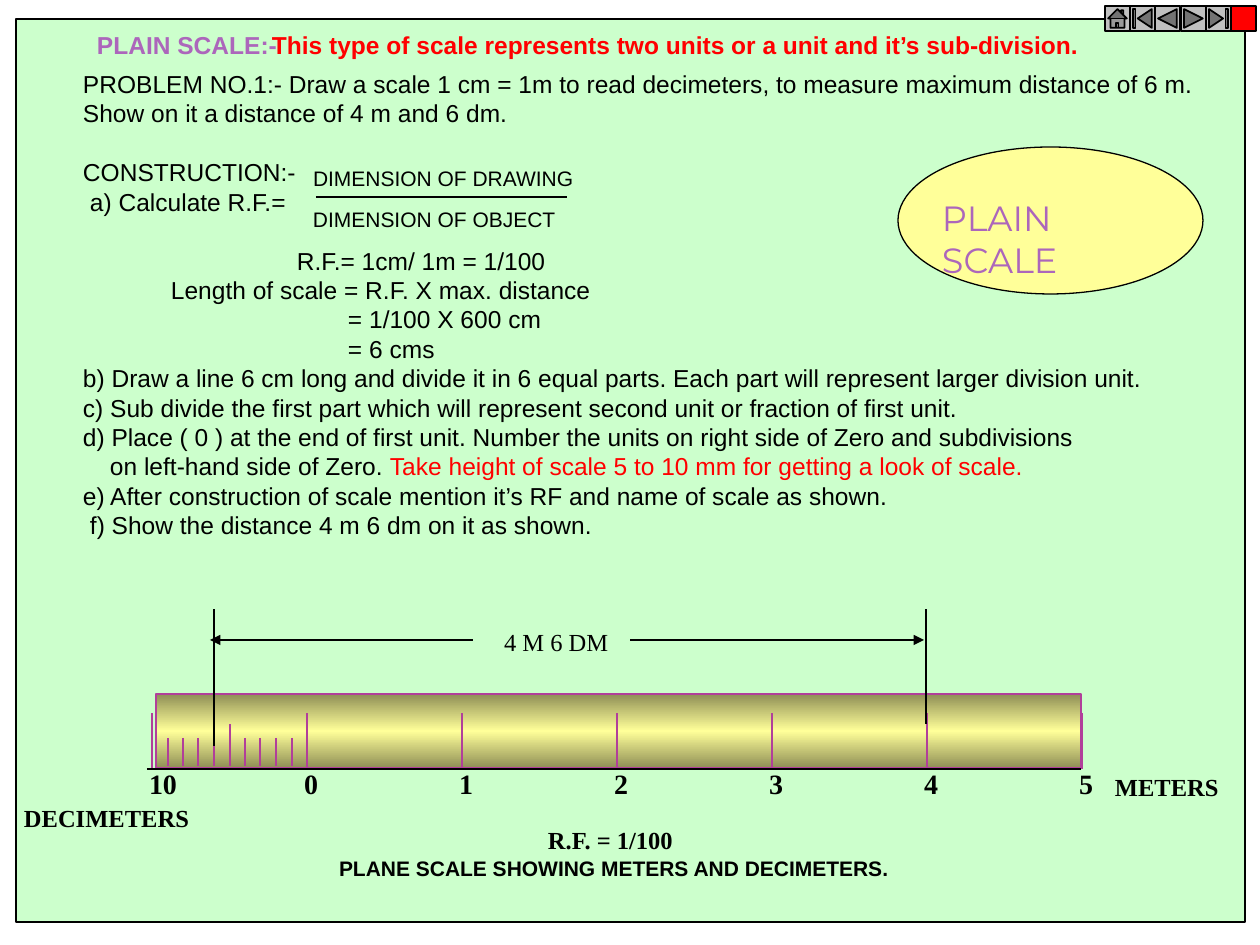
from copy import deepcopy

from lxml import etree
from pptx import Presentation
from pptx.dml.color import RGBColor
from pptx.enum.shapes import MSO_CONNECTOR, MSO_SHAPE
from pptx.enum.text import MSO_ANCHOR, MSO_AUTO_SIZE, PP_ALIGN
from pptx.oxml.ns import qn
from pptx.util import Pt

LINE = MSO_CONNECTOR.STRAIGHT
RECT, OVAL = MSO_SHAPE.RECTANGLE, MSO_SHAPE.OVAL
KEYS = [MSO_SHAPE.ACTION_BUTTON_HOME, MSO_SHAPE.ACTION_BUTTON_BEGINNING,
        MSO_SHAPE.ACTION_BUTTON_BACK_OR_PREVIOUS,
        MSO_SHAPE.ACTION_BUTTON_FORWARD_OR_NEXT,
        MSO_SHAPE.ACTION_BUTTON_END, MSO_SHAPE.ACTION_BUTTON_CUSTOM]
TOP, FIXED = MSO_ANCHOR.TOP, MSO_AUTO_SIZE.NONE
LEFT, MID = PP_ALIGN.LEFT, PP_ALIGN.CENTER

COL = {"black": "000000", "red": "FF0000", "violet": "AC66BB",
       "tick": "B13F9A", "mint": "CCFFCC", "cream": "FFFF99",
       "olive": "8F8F56", "grey": "C0C0C0"}
SANS, SERIF, ROUND = "Arial", "Times New Roman", "Montserrat"

# Indent in px, blank lines above, text runs with their colours
STEPS = [
    (0, 0, [("PROBLEM NO.1:- Draw a scale 1 cm = 1m to read decimeters, "
             "to measure maximum distance of 6 m.", "black")]),
    (0, 0, [("Show on it a distance of 4 m and 6 dm.", "black")]),
    (0, 1, [("CONSTRUCTION:-", "black")]),
    (7, 0, [("a) Calculate R.F.=", "black")]),
    (214, 1, [("R.F.= 1cm/ 1m = 1/100", "black")]),
    (88, 0, [("Length of scale = R.F. X max. distance", "black")]),
    (265, 0, [("= 1/100 X 600 cm", "black")]),
    (265, 0, [("= 6 cms", "black")]),
    (0, 0, [("b) Draw a line 6 cm long and divide it in 6 equal parts. "
             "Each part will represent larger division unit.", "black")]),
    (0, 0, [("c) Sub divide the first part which will represent second unit "
             "or fraction of first unit.", "black")]),
    (0, 0, [("d) Place ( 0 ) at the end of first unit. Number the units on "
             "right side of Zero and subdivisions", "black")]),
    (27, 0, [("on left-hand side of Zero. ", "black"),
             ("Take height of scale 5 to 10 mm for getting a look of scale.",
              "red")]),
    (0, 0, [("e) After construction of scale mention it’s RF and name of "
             "scale as shown.", "black")]),
    (7, 0, [("f) Show the distance 4 m 6 dm on it as shown.", "black")]),
]
PITCH = 16.8


def px(n):
    return round(n * 914400 / 126)


def rgb(name):
    return RGBColor.from_string(COL[name])


def put(item, **vals):
    for key, val in vals.items():
        setattr(item, key, val)


def place(shape, x, y, w, h):
    put(shape, left=px(x), top=px(y), width=px(w), height=px(h))


def frame(shape, wrap=False):
    text = shape.text_frame
    put(text, word_wrap=wrap, auto_size=FIXED, vertical_anchor=TOP,
        margin_left=px(13), margin_right=px(13),
        margin_top=px(6), margin_bottom=px(6))
    return text


def write(para, text, size, font=SANS, color="black", bold=False):
    run = para.add_run()
    run.text = text
    put(run.font, size=Pt(size), name=font, bold=bold)
    run.font.color.rgb = rgb(color)


def label(slide, box, text, size, align=LEFT, wrap=False, **look):
    shape = slide.shapes.add_textbox(*map(px, box))
    para = frame(shape, wrap).paragraphs[0]
    para.alignment = align
    write(para, text, size, **look)


def block(slide, kind, box, fill, edge="black", width=0.75):
    shape = slide.shapes.add_shape(kind, *map(px, box))
    shape.shadow.inherit = False
    if fill:
        shape.fill.solid()
        shape.fill.fore_color.rgb = rgb(fill)
    shape.line.color.rgb = rgb(edge)
    shape.line.width = Pt(width)
    return shape


def rule(slide, x1, y1, x2, y2, color="black", width=0.75, arrow=False):
    line = slide.shapes.add_connector(LINE, px(x1), px(y1), px(x2), px(y2))
    line.line.color.rgb = rgb(color)
    line.line.width = Pt(width)
    props = line.element.spPr
    if arrow:
        etree.SubElement(props.find(qn("a:ln")), qn("a:tailEnd"),
                         type="triangle")
    etree.SubElement(props, qn("a:effectLst"))


def heading(slide, x, y):
    title = slide.shapes.title
    place(title, x, y, 212, 43)
    para = frame(title).paragraphs[0]
    para.alignment = LEFT
    write(para, "PLAIN SCALE:-", 14, color="violet", bold=True)
    label(slide, (x + 175, y, 833, 43),
          "This type of scale represents two units or a unit and it’s "
          "sub-division.", 14, color="red", bold=True)


def steps(slide, x, y):
    body = slide.placeholders[1]
    place(body, x, y, 1150, 543)
    text = frame(body, True)
    for i, (indent, gap, runs) in enumerate(STEPS):
        para = text.add_paragraph() if i else text.paragraphs[0]
        put(para, alignment=LEFT, line_spacing=Pt(PITCH),
            space_before=Pt(gap * PITCH), space_after=Pt(0))
        props = para._p.get_or_add_pPr()
        props.set("marL", str(px(indent)))
        props.set("indent", "0")
        etree.SubElement(props, qn("a:buNone"))
        for words, color in runs:
            write(para, words, 14, color=color)
    # Fraction beside step a
    label(slide, (x + 230, y + 97, 286, 38), "DIMENSION OF DRAWING", 12)
    label(slide, (x + 230, y + 138, 267, 38), "DIMENSION OF OBJECT", 12)
    rule(slide, x + 246, y + 134, x + 497, y + 134, width=1.5)


def badge(slide, x, y):
    block(slide, OVAL, (x, y, 305, 147), "cream")
    label(slide, (x + 31, y + 43, 246, 97), "PLAIN SCALE", 20, wrap=True,
          font=ROUND, color="violet")


def ruler(slide, x, y):
    """Scale whose zero-width left end is x and whose bar starts at y."""
    unit, base = 155, y + 75
    bar = block(slide, RECT, (x + 4, y, 925, 74), None, "tick", 1.5)
    bar.fill.gradient()
    bar.fill.gradient_angle = 90
    first = next(bar.element.iter(qn("a:gs")))
    first.addnext(deepcopy(first))
    for stop, pos, name in zip(bar.fill.gradient_stops, (0, 0.5, 1),
                               ("olive", "cream", "olive")):
        stop.position = pos
        stop.color.rgb = rgb(name)
    # Metre and decimetre marks
    for i in range(7):
        spot = x + i * unit
        rule(slide, spot, y + 19, spot, base, "tick", 1.5)
        name = str(i - 1) if i else "10"
        mid = spot + (4 if i else 11)
        label(slide, (mid - 27, y + 67, 54, 47), name, 16, MID,
              font=SERIF, bold=True)
    for i in range(1, 10):
        spot = round(x + i * unit / 10)
        rule(slide, spot, y + (30 if i == 5 else 44), spot, y + 72,
             "tick", 1.5)
    rule(slide, x - 5, base, x + 929, base)
    # Measured distance
    rule(slide, x + 774, y + 30, x + 774, y - 85)
    rule(slide, x + 62, y + 52, x + 62, y - 85)
    rule(slide, x + 478, y - 54, x + 772, y - 54, arrow=True)
    rule(slide, x + 321, y - 54, x + 58, y - 54, arrow=True)
    label(slide, (x + 339, y - 73, 130, 43), "4 M 6 DM", 14, font=SERIF)
    # Captions
    for left, top, width, text in ((950, 72, 129, "METERS"),
                                   (-141, 103, 190, "DECIMETERS"),
                                   (383, 125, 152, "R.F. = 1/100")):
        label(slide, (x + left, y + top, width, 43), text, 14,
              font=SERIF, bold=True)
    label(slide, (x + 174, y + 156, 576, 38),
          "PLANE SCALE SHOWING METERS AND DECIMETERS.", 12, bold=True)


def keys(slide, x, y):
    for i, kind in enumerate(KEYS):
        fill = "red" if kind == KEYS[-1] else "grey"
        block(slide, kind, (x + round(i * 25.2), y, 25, 25), fill, width=1)


def main():
    deck = Presentation()
    put(deck, slide_width=px(1260), slide_height=px(945))
    slide = deck.slides.add_slide(deck.slide_layouts[1])
    # Panel goes behind the placeholders
    panel = block(slide, RECT, (16, 19, 1229, 903), "mint")
    slide.shapes.title.element.addprevious(panel.element)
    ruler(slide, 152, 694)
    heading(slide, 84, 24)
    badge(slide, 898, 147)
    steps(slide, 70, 63)
    keys(slide, 1105, 6)
    deck.save("out.pptx")


if __name__ == "__main__":
    main()
